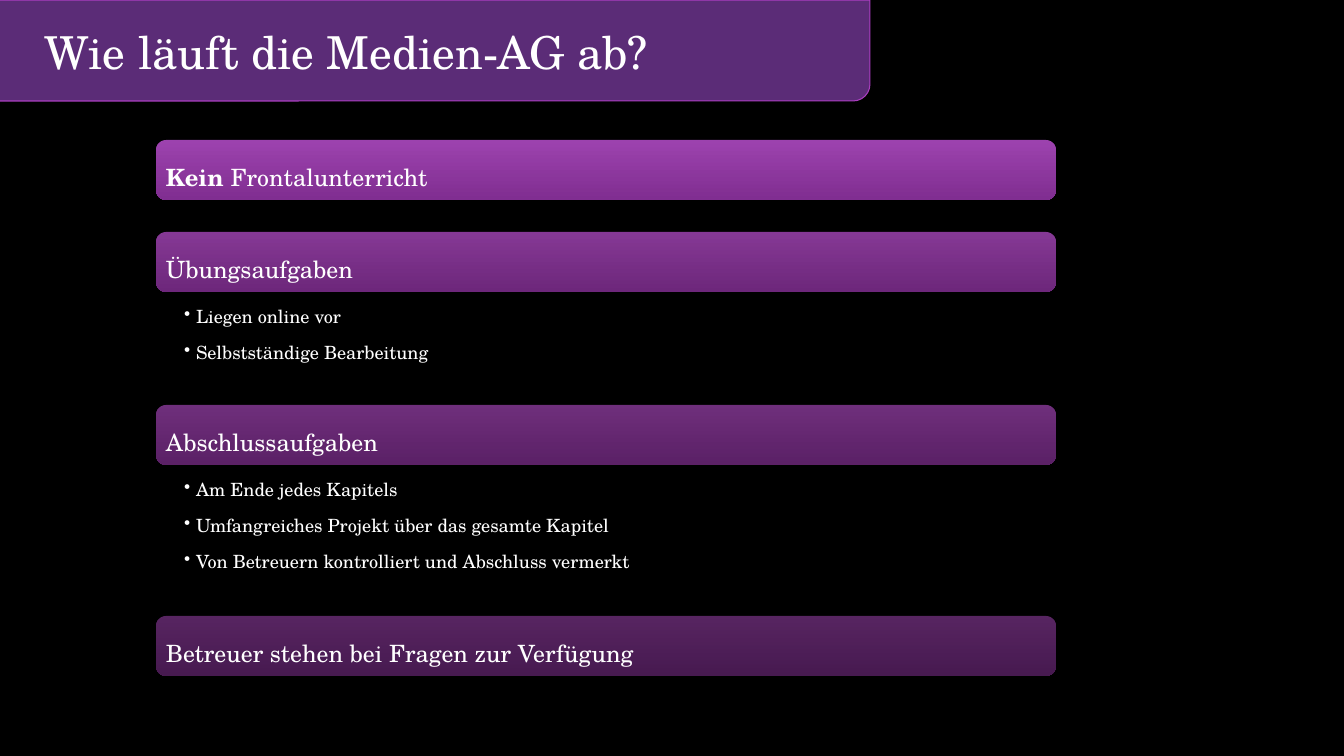
"""Build the slide on how the media workshop runs."""
import pptx
import pptx.dml.color
import pptx.enum.shapes
import pptx.enum.text
import pptx.oxml.ns
import pptx.util
from lxml import etree

TITLE = "Wie läuft die Medien-AG ab?"
SECTIONS = [
    {"heading": ["Kein ", "Frontalunterricht"], "bold": "Kein ", "opacity": 90, "bullets": []},
    {"heading": ["Übungsaufgaben"], "bold": None, "opacity": 77,
     "bullets": ["Liegen online vor", "Selbstständige Bearbeitung"]},
    {"heading": ["Abschlussaufgaben"], "bold": None, "opacity": 63,
     "bullets": ["Am Ende jedes Kapitels",
                 "Umfangreiches Projekt über das gesamte Kapitel",
                 "Von Betreuern kontrolliert und Abschluss vermerkt"]},
    {"heading": ["Betreuer stehen bei Fragen zur Verfügung"], "bold": None, "opacity": 50,
     "bullets": []},
]
COLORS = {"background": "000000", "text": "FFFFFF", "header": "8240AA",
          "header_line": "AC3EC1", "bar_top": "AE4AC2", "bar_bottom": "8F34A1"}
FONT = "TeX Gyre Schola"
SLIDE_WIDTH, SLIDE_HEIGHT = 1344, 756
HEADER_BOX = (-16, 0, 886, 101)
TITLE_BOX = (34, 18, 655, 66)
LEFT, FIRST_TOP, WIDTH, BAR_HEIGHT = 156, 140, 900, 60
BAR_GAP, BULLET_PITCH, BULLET_PADDING = 32, 38, 37
BULLET_INDENT = 12
SHAPES = pptx.enum.shapes.MSO_SHAPE
ANCHORS = pptx.enum.text.MSO_ANCHOR


def px(length):
    return pptx.util.Emu(round(length * 12192000 / SLIDE_WIDTH))


def color(name):
    return pptx.dml.color.RGBColor.from_string(COLORS[name])


def set_opacity(shape, percent):
    fill_colors = shape.fill._xPr.iter(pptx.oxml.ns.qn("a:srgbClr"))
    for element in list(fill_colors):
        etree.SubElement(element, pptx.oxml.ns.qn("a:alpha"), val=str(percent * 1000))


def set_frame(frame, insets, anchor):
    frame.word_wrap = True
    frame.vertical_anchor = anchor
    frame.margin_left, frame.margin_top, frame.margin_right, frame.margin_bottom = map(px, insets)


def style_span(span, size, bold=False):
    span.font.name = FONT
    span.font.size = pptx.util.Pt(size)
    span.font.bold = bold
    span.font.color.rgb = color("text")


def add_header(page):
    header = page.shapes.add_shape(SHAPES.ROUND_2_DIAG_RECTANGLE, *map(px, HEADER_BOX))
    header.shadow.inherit = False
    header.fill.solid()
    header.fill.fore_color.rgb = color("header")
    set_opacity(header, 70)
    header.line.color.rgb = color("header_line")
    header.line.width = pptx.util.Pt(0.75)
    box = page.shapes.add_textbox(*map(px, TITLE_BOX))
    set_frame(box.text_frame, (10, 5, 10, 5), ANCHORS.MIDDLE)
    box.text_frame.text = TITLE
    style_span(box.text_frame.paragraphs[0].runs[0], 32.4)


def add_bar(page, top, section):
    bar = page.shapes.add_shape(SHAPES.ROUNDED_RECTANGLE, *map(px, (LEFT, top, WIDTH, BAR_HEIGHT)))
    bar.shadow.inherit = False
    bar.line.fill.background()
    bar.fill.gradient()
    bar.fill.gradient_angle = 270
    for stop, name, position in zip(bar.fill.gradient_stops, ("bar_top", "bar_bottom"), (0, 1)):
        stop.color.rgb = color(name)
        stop.position = position
    set_opacity(bar, section["opacity"])
    set_frame(bar.text_frame, (7, 7, 7, 7), ANCHORS.MIDDLE)
    para = bar.text_frame.paragraphs[0]
    para.alignment = pptx.enum.text.PP_ALIGN.LEFT
    para.line_spacing = 1.5
    para.space_after = pptx.util.Pt(6)
    for text in section["heading"]:
        span = para.add_run()
        span.text = text
        style_span(span, 17, text == section["bold"])


def add_bullets(page, top, height, bullets):
    box = page.shapes.add_textbox(*map(px, (LEFT, top, WIDTH, height)))
    set_frame(box.text_frame, (28, 2, 13, 2), ANCHORS.TOP)
    box.text_frame.text = "\n".join(bullets)
    for para in box.text_frame.paragraphs:
        para.level = 1
        para.line_spacing = 1.5
        para.space_after = pptx.util.Pt(2.6)
        properties = para._p.get_or_add_pPr()
        properties.set("marL", str(px(BULLET_INDENT)))
        properties.set("indent", str(px(-BULLET_INDENT)))
        etree.SubElement(properties, pptx.oxml.ns.qn("a:buChar"), char="•")
        style_span(para.runs[0], 13)


def main():
    deck = pptx.Presentation()
    deck.slide_width, deck.slide_height = px(SLIDE_WIDTH), px(SLIDE_HEIGHT)
    page = deck.slides.add_slide(deck.slide_layouts[6])
    page.background.fill.solid()
    page.background.fill.fore_color.rgb = color("background")
    add_header(page)
    top = FIRST_TOP
    for section in SECTIONS:
        add_bar(page, top, section)
        top += BAR_HEIGHT
        bullets = section["bullets"]
        if bullets:
            height = BULLET_PITCH * len(bullets) + BULLET_PADDING
            add_bullets(page, top, height, bullets)
            top += height
        else:
            top += BAR_GAP
    deck.save("out.pptx")


if __name__ == "__main__":
    main()
